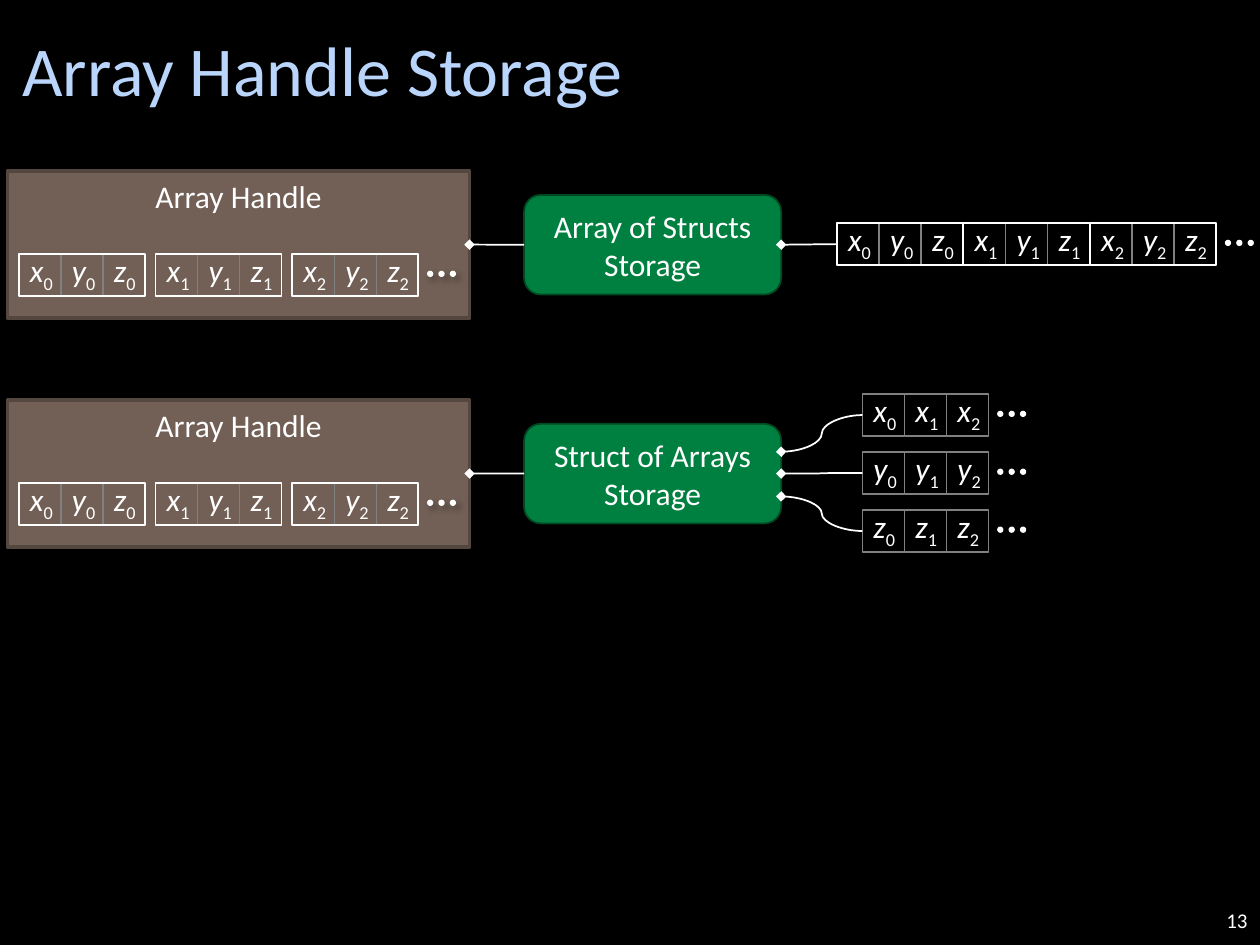
from lxml import etree
from pptx import Presentation
from pptx import util as u
from pptx.dml.color import RGBColor
from pptx.enum import shapes, text
from pptx.oxml.ns import qn

COLORS = {
    "background": "000000",
    "title": "BAD5FC",
    "white": "FFFFFF",
    "handle": "726056",
    "handle_line": "544740",
    "storage": "008040",
    "storage_line": "004821",
    "cell_line": "808080",
}
CELL = 24
GROUP = 3 * CELL


def rgb(name):
    return RGBColor.from_string(COLORS[name])


class Deck:
    font = "Calibri"
    body = 18

    def __init__(self, width, height):
        self.prs = Presentation()
        self.prs.slide_width = u.Pt(width)
        self.prs.slide_height = u.Pt(height)
        self.slide = self.prs.slides.add_slide(self.prs.slide_layouts[6])
        fill = self.slide.background.fill
        fill.solid()
        fill.fore_color.rgb = rgb("background")

    def style(self, p, size, color, align):
        p.font.name = self.font
        p.font.size = u.Pt(size)
        p.font.color.rgb = rgb(color)
        p.alignment = align

    def textbox(self, x, y, w, h, words, size, color="white", align=text.PP_ALIGN.LEFT):
        sp = self.slide.shapes.add_textbox(u.Pt(x), u.Pt(y), u.Pt(w), u.Pt(h))
        tf = sp.text_frame
        tf.word_wrap = True
        tf.vertical_anchor = text.MSO_ANCHOR.MIDDLE
        tf.text = words
        self.style(tf.paragraphs[0], size, color, align)

    def variable(self, x, y, letter, index):
        sp = self.slide.shapes.add_textbox(u.Pt(x), u.Pt(y), u.Pt(30), u.Pt(29))
        sp.text_frame.word_wrap = False
        p = sp.text_frame.paragraphs[0]
        self.style(p, self.body, "white", text.PP_ALIGN.LEFT)
        r = p.add_run()
        r.text = letter
        r.font.italic = True
        r = p.add_run()
        r.text = str(index)
        r.font._element.set("baseline", "-25000")

    def shape(self, kind, x, y, w, h, fill=None, line=None, weight=1):
        sp = self.slide.shapes.add_shape(kind, u.Pt(x), u.Pt(y), u.Pt(w), u.Pt(h))
        sp.shadow.inherit = False
        if fill:
            sp.fill.solid()
            sp.fill.fore_color.rgb = rgb(fill)
        else:
            sp.fill.background()
        if line:
            sp.line.color.rgb = rgb(line)
            sp.line.width = u.Pt(weight)
        else:
            sp.line.fill.background()
        return sp

    def rect(self, *args, **kwargs):
        return self.shape(shapes.MSO_SHAPE.RECTANGLE, *args, **kwargs)

    def label(self, sp, words, anchor):
        tf = sp.text_frame
        tf.word_wrap = True
        tf.vertical_anchor = anchor
        tf.text = words
        self.style(tf.paragraphs[0], self.body, "white", text.PP_ALIGN.CENTER)

    def cells(self, x, y, names):
        boxes = []
        for i, (letter, index) in enumerate(names):
            left = x + i * CELL
            self.variable(left - 0.75, y - 5.25, letter, index)
            boxes.append(self.rect(left, y, CELL, CELL, line="cell_line", weight=0.75))
        return boxes[0]

    def dots(self, x, y):
        for i in range(3):
            sp = self.shape(shapes.MSO_SHAPE.OVAL, x + 5 + i * 6.5, y + 9.5, 3.6, 3.6, "white")
            effects = sp._element.spPr.find(qn("a:effectLst"))
            shadow = etree.SubElement(effects, qn("a:outerShdw"), blurRad=str(u.Pt(4)),
                                      dist=str(u.Pt(3)), dir="2700000")
            color = etree.SubElement(shadow, qn("a:srgbClr"), val=COLORS["background"])
            etree.SubElement(color, qn("a:alpha"), val="40000")

    def structs(self, x, y, pitch):
        frames = []
        for index in range(3):
            left = x + index * pitch
            self.cells(left, y, [(letter, index) for letter in "xyz"])
            frames.append(self.rect(left, y, GROUP, CELL, line="white"))
        self.dots(x + 2 * pitch + GROUP, y)
        return frames[0]

    def array(self, x, y, letter):
        first = self.cells(x, y, [(letter, index) for index in range(3)])
        self.dots(x + GROUP, y)
        return first

    def handle(self, y):
        sp = self.rect(4.3, y, 264, 84.2, "handle", "handle_line", 2)
        self.label(sp, "Array Handle", text.MSO_ANCHOR.TOP)
        self.structs(10.8, y + 47.5, 78.1)
        return sp

    def storage(self, y, words):
        sp = self.shape(shapes.MSO_SHAPE.ROUNDED_RECTANGLE, 299.5, y, 146.9, 56.9,
                        "storage", "storage_line")
        self.label(sp, words, text.MSO_ANCHOR.MIDDLE)
        return sp

    def link(self, source, target, offset=0, kind=shapes.MSO_CONNECTOR.STRAIGHT):
        x = source.left + source.width
        y = source.top + source.height // 2 + u.Pt(offset)
        c = self.slide.shapes.add_connector(kind, x, y, target.left, target.top)
        if not offset:
            c.begin_connect(source, 3)
        c.end_connect(target, 1)
        c.line.color.rgb = rgb("white")
        c.line.width = u.Pt(1)
        etree.SubElement(c.line._get_or_add_ln(), qn("a:headEnd"), type="diamond")
        etree.SubElement(c._element.spPr, qn("a:effectLst"))


def main():
    deck = Deck(720, 540)
    deck.textbox(5.8, 0, 635.8, 77.8, "Array Handle Storage", 40, "title")

    handle = deck.handle(97.7)
    storage = deck.storage(111.4, "Array of Structs Storage")
    structs = deck.structs(478.3, 127.5, 72.3)
    deck.link(handle, storage)
    deck.link(storage, structs)

    handle = deck.handle(228.5)
    storage = deck.storage(242.2, "Struct of Arrays Storage")
    deck.link(handle, storage)
    for i, (letter, offset) in enumerate(zip("xyz", (-12.5, 0, 13))):
        first = deck.array(492.8, 225.2 + i * 33.1, letter)
        deck.link(storage, first, offset, shapes.MSO_CONNECTOR.CURVE)

    deck.textbox(552, 511.2, 168, 28.8, "13", 12, align=text.PP_ALIGN.RIGHT)
    deck.prs.save("out.pptx")


if __name__ == "__main__":
    main()
